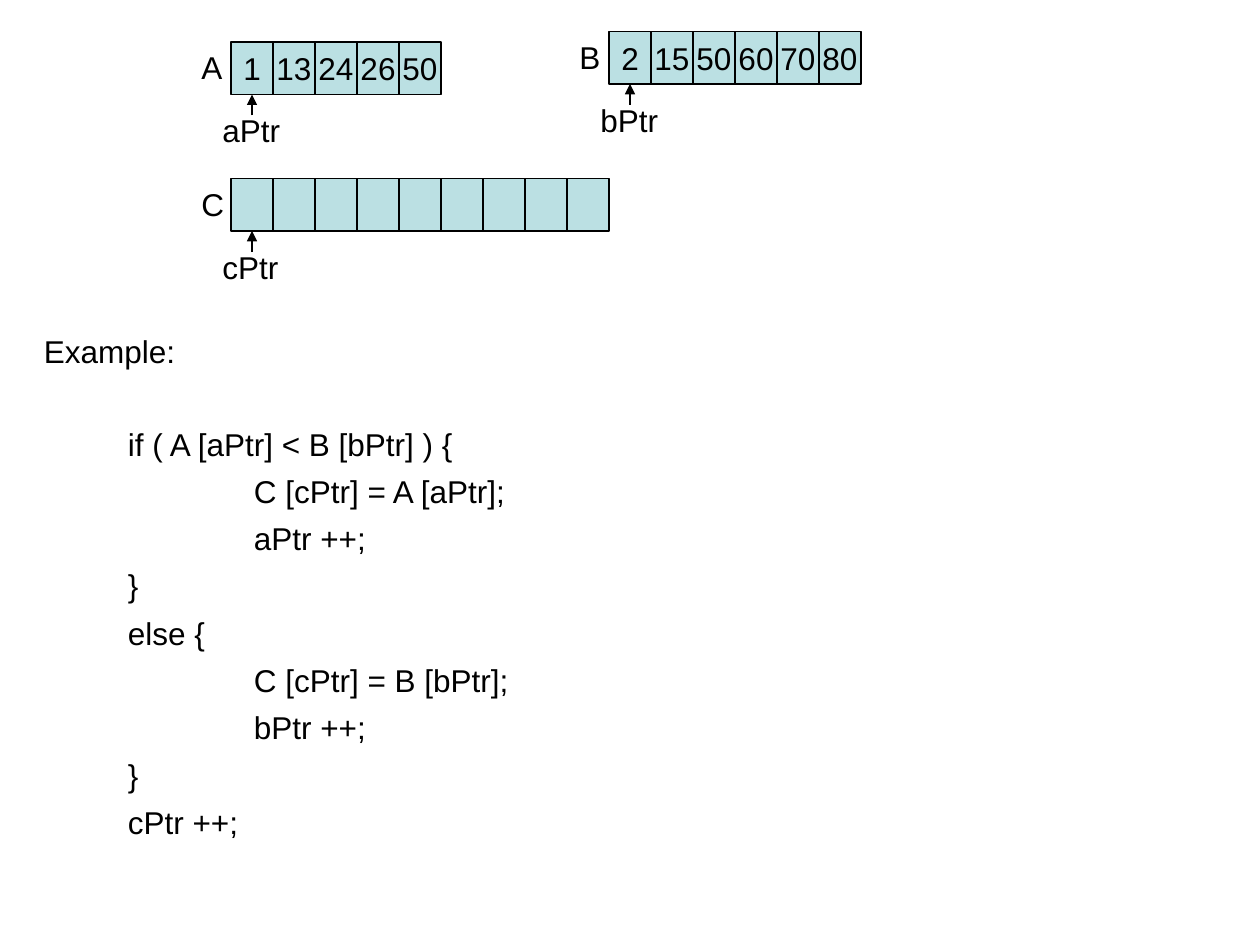
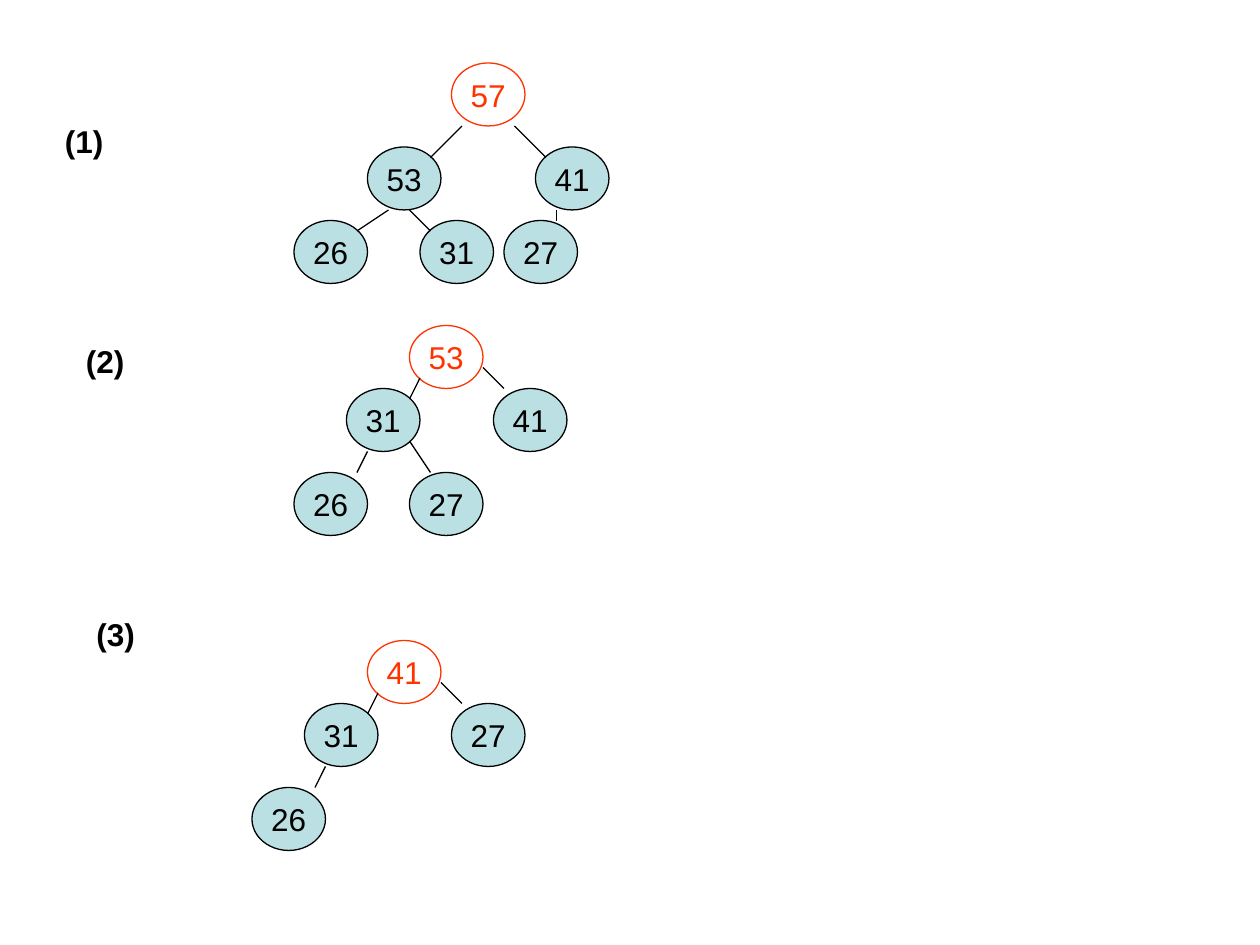
from lxml.etree import SubElement
from pptx import Presentation
from pptx.dml.color import RGBColor
from pptx.enum.shapes import MSO_CONNECTOR, MSO_SHAPE
from pptx.enum.text import MSO_ANCHOR, PP_ALIGN
from pptx.oxml.ns import qn
from pptx.util import Inches, Pt

# Shared style; every position is counted in grid steps of a twelfth of an inch
GRID = Inches(1) // 12
BLACK, RED, PALE_BLUE = "000000", "FF3300", "BBE0E3"
LINE_WIDTH = Pt(0.75)
FONT = {"name": "Arial", "size": Pt(18)}
BOX_FRAME = {"word_wrap": False, "vertical_anchor": MSO_ANCHOR.MIDDLE}
LABEL_FRAME = {"word_wrap": True, "vertical_anchor": MSO_ANCHOR.TOP}


def add_item(slide, box, text, kind=None, fill=None, color=BLACK, bold=False):
    """Add a preset shape with centred text, or a plain label if kind is None."""
    place = [GRID * steps for steps in box]
    if kind is None:
        shape = slide.shapes.add_textbox(*place)
    else:
        shape = slide.shapes.add_shape(kind, *place)
        shape.shadow.inherit = False
        shape.line.color.rgb = RGBColor.from_string(color)
        shape.line.width = LINE_WIDTH
        if fill:
            shape.fill.solid()
            shape.fill.fore_color.rgb = RGBColor.from_string(fill)
        else:
            shape.fill.background()
    for name, value in (BOX_FRAME if kind else LABEL_FRAME).items():
        setattr(shape.text_frame, name, value)
    shape.text_frame.text = text
    for paragraph in shape.text_frame.paragraphs:
        paragraph.alignment = PP_ALIGN.CENTER if kind else PP_ALIGN.LEFT
        for name, value in {**FONT, "bold": bold}.items():
            setattr(paragraph.font, name, value)
        paragraph.font.color.rgb = RGBColor.from_string(color)
    return shape


def add_line(slide, start, end, arrow=False):
    points = [GRID * steps for steps in (*start, *end)]
    connector = slide.shapes.add_connector(MSO_CONNECTOR.STRAIGHT, *points)
    connector.line.color.rgb = RGBColor.from_string(BLACK)
    connector.line.width = LINE_WIDTH
    if arrow:
        SubElement(connector.line._get_or_add_ln(), qn("a:tailEnd"), type="triangle")
    SubElement(connector._element.spPr, qn("a:effectLst"))


presentation = Presentation()
presentation.slide_width, presentation.slide_height = Inches(10), Inches(7.5)
blank = presentation.slide_layouts[6]

# Slide 1: merging two sorted arrays
slide = presentation.slides.add_slide(blank)

# Code: (indent in grid steps, text)
code = [
    (0, "Example:"),
    (8, "if ( A [aPtr] < B [bPtr] ) {"),
    (20, "C [cPtr] = A [aPtr];"),
    (20, "aPtr ++;"),
    (8, "}"),
    (8, "else {"),
    (20, "C [cPtr] = B [bPtr];"),
    (20, "bPtr ++;"),
    (8, "}"),
    (8, "cPtr ++;"),
]
shape = add_item(slide, (3, 31, 105, 51), "\n".join(text for _, text in code))
for index, (paragraph, (indent, _)) in enumerate(zip(shape.text_frame.paragraphs, code)):
    paragraph.space_before = Pt(31.5 if index == 1 else 5.4)
    paragraph._p.get_or_add_pPr().set("marL", str(GRID * indent))

# Arrays, each with its name and its pointer under the first cell
CELL_WIDTH, CELL_HEIGHT = 4, 5
arrays = [
    ("A", 22, 4, ["1", "13", "24", "26", "50"]),
    ("B", 58, 3, ["2", "15", "50", "60", "70", "80"]),
    ("C", 22, 17, [""] * 9),
]
for name, left, top, values in arrays:
    for index, value in enumerate(values):
        cell = (left + index * CELL_WIDTH, top, CELL_WIDTH, CELL_HEIGHT)
        add_item(slide, cell, value, MSO_SHAPE.RECTANGLE, PALE_BLUE)
    add_item(slide, (left - 4, top, 5, 5), name)
    middle, bottom = left + CELL_WIDTH // 2, top + CELL_HEIGHT
    add_line(slide, (middle, bottom + 2), (middle, bottom), arrow=True)
    add_item(slide, (left - 2, bottom + 1, 9, 5), name.lower() + "Ptr")

# Slide 2: removing the largest value from a heap
slide = presentation.slides.add_slide(blank)
NODE_WIDTH, NODE_HEIGHT = 7, 6

# Layouts relative to the root: nodes in heap order, and the edge above each child
wide_nodes = [(0, 0), (-8, 8), (8, 8), (-15, 15), (-3, 15), (5, 15)]
wide_edges = [((1, 6), (-2, 9)), ((6, 6), (9, 9)), ((-6, 14), (-9, 16)),
              ((-4, 14), (-2, 16)), ((10, 14), (10, 15))]
narrow_nodes = [(0, 0), (-6, 6), (8, 6), (-11, 14), (0, 14)]
narrow_edges = [((1, 5), (0, 7)), ((7, 4), (9, 6)), ((-4, 12), (-5, 14)),
                ((0, 11), (2, 14))]

# Heaps: step label, label position, root position, values, layout
heaps = [
    ("(1)", (5, 11), (43, 6), [57, 53, 41, 26, 31, 27], wide_nodes, wide_edges),
    ("(2)", (7, 32), (39, 31), [53, 31, 41, 26, 27], narrow_nodes, narrow_edges),
    ("(3)", (8, 58), (35, 61), [41, 31, 27, 26], narrow_nodes, narrow_edges),
]
for step, label_at, (root_x, root_y), values, nodes, edges in heaps:
    add_item(slide, (*label_at, 9, 5), step, bold=True)
    for index, (value, (x, y)) in enumerate(zip(values, nodes)):
        fill, color = (PALE_BLUE, BLACK) if index else (None, RED)
        box = (root_x + x, root_y + y, NODE_WIDTH, NODE_HEIGHT)
        add_item(slide, box, str(value), MSO_SHAPE.OVAL, fill, color)
    for edge in edges[:len(values) - 1]:
        start, end = [(root_x + x, root_y + y) for x, y in edge]
        add_line(slide, start, end)

presentation.save("out.pptx")
